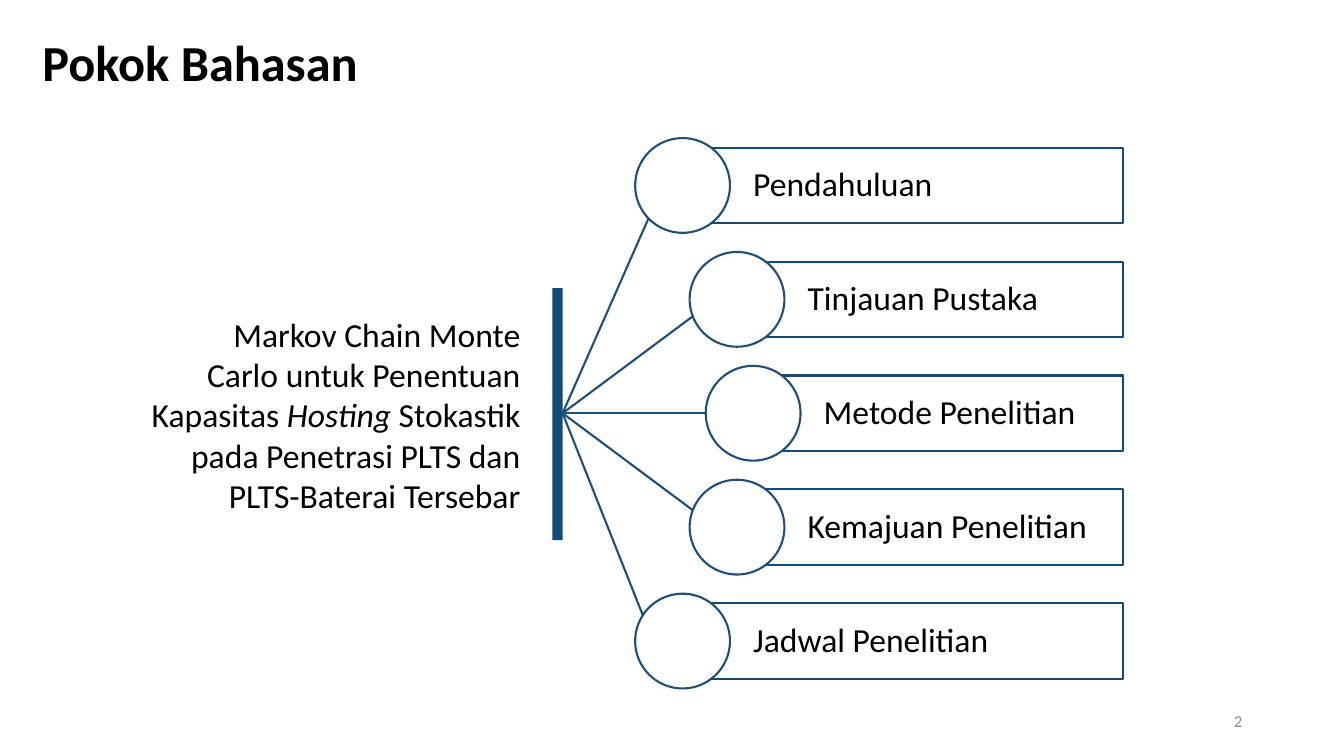
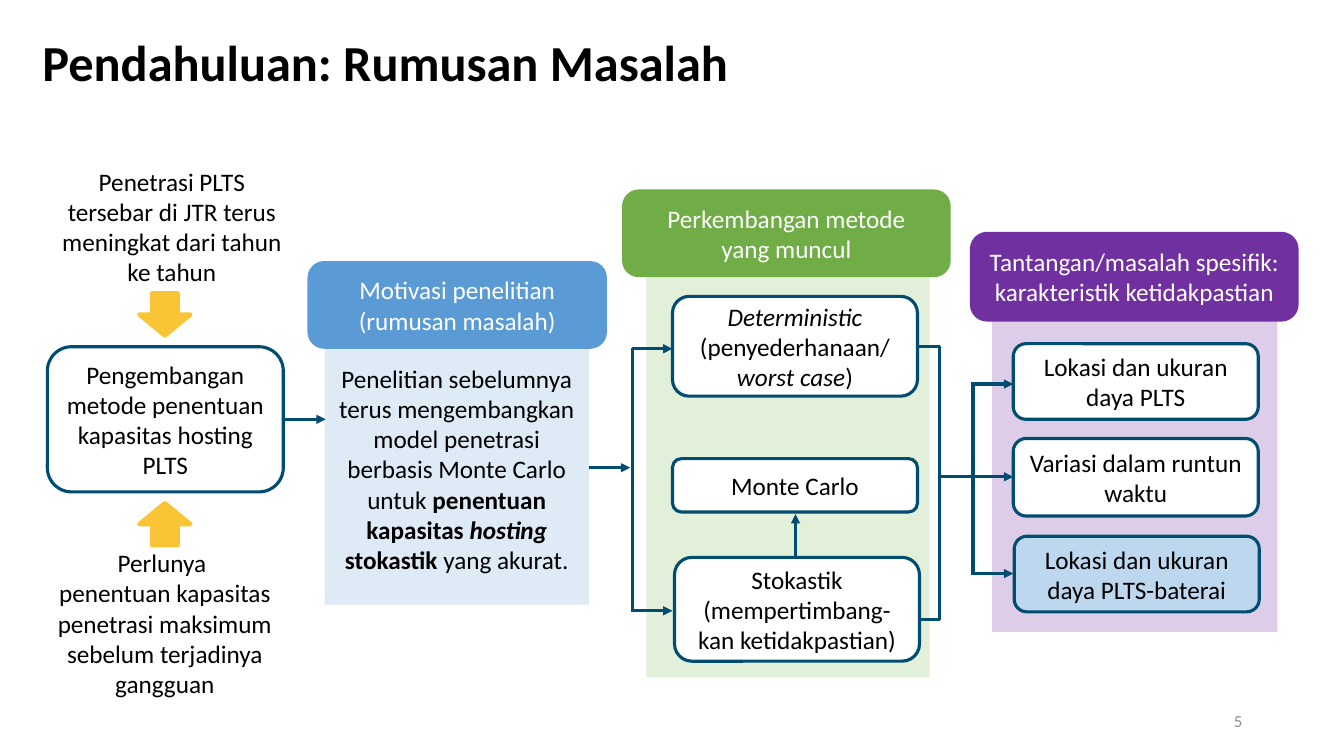
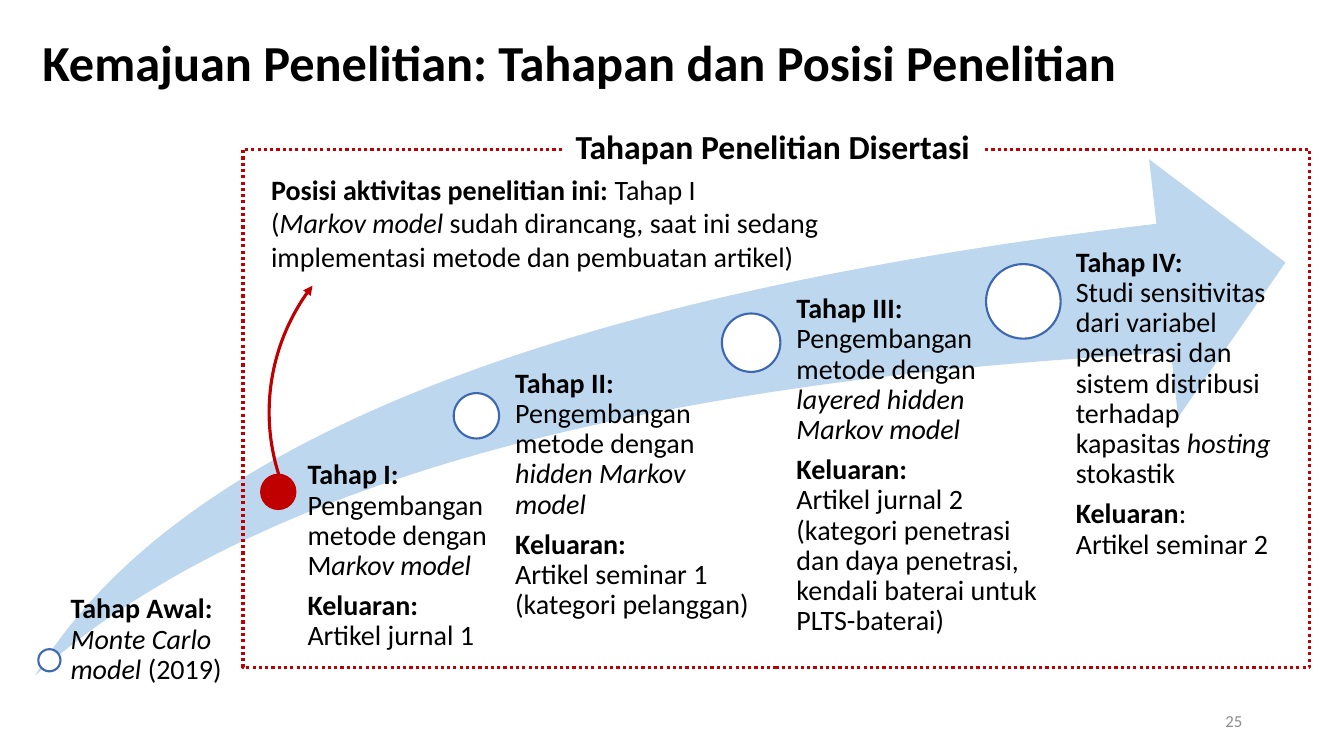
from math import cos, radians, sin

from lxml import etree
from pptx import Presentation
from pptx.dml.color import RGBColor
from pptx.enum.dml import MSO_LINE
from pptx.enum.shapes import MSO_CONNECTOR, MSO_SHAPE
from pptx.enum.text import MSO_ANCHOR, PP_ALIGN
from pptx.oxml.ns import qn
from pptx.util import Inches, Pt

# Shared look
FONT = "Calibri"
WIDTH, HEIGHT = 13.33, 7.5
TITLE_AREA = (0.32, 0.21, 12.67, 0.87)
NUMBER_AREA = (9.42, 6.95, 3, 0.4)

BLACK = RGBColor(0x00, 0x00, 0x00)
WHITE = RGBColor(0xFF, 0xFF, 0xFF)
GREY = RGBColor(0x8C, 0x8C, 0x8C)
NAVY = RGBColor(0x13, 0x4B, 0x74)
SPOKE_BLUE = RGBColor(0x1F, 0x4E, 0x79)
FLOW_BLUE = RGBColor(0x01, 0x4D, 0x71)
RING_BLUE = RGBColor(0x3E, 0x67, 0xB2)
HEADER_BLUE = RGBColor(0x5B, 0x9B, 0xD5)
LIGHT_BLUE = RGBColor(0xBD, 0xD7, 0xEE)
PALE_BLUE = RGBColor(0xDE, 0xEB, 0xF7)
GREEN = RGBColor(0x70, 0xAD, 0x47)
PALE_GREEN = RGBColor(0xE2, 0xF0, 0xD9)
PURPLE = RGBColor(0x70, 0x30, 0xA0)
PALE_PURPLE = RGBColor(0xDD, 0xCD, 0xE8)
YELLOW = RGBColor(0xF9, 0xC4, 0x35)
RED = RGBColor(0xC0, 0x00, 0x00)

RECT, ROUND, CIRCLE = MSO_SHAPE.RECTANGLE, MSO_SHAPE.ROUNDED_RECTANGLE, MSO_SHAPE.OVAL
DOWN, UP = MSO_SHAPE.DOWN_ARROW, MSO_SHAPE.UP_ARROW
SWOOSH, ARC = MSO_SHAPE.SWOOSH_ARROW, MSO_SHAPE.ARC
STRAIGHT = MSO_CONNECTOR.STRAIGHT
DOTTED = MSO_LINE.ROUND_DOT
LEFT, CENTER, RIGHT = PP_ALIGN.LEFT, PP_ALIGN.CENTER, PP_ALIGN.RIGHT
TOP, MIDDLE = MSO_ANCHOR.TOP, MSO_ANCHOR.MIDDLE


def inches(values):
    return [Inches(value) for value in values]


def write(box, text, size=18, color=BLACK, bold=False, align=CENTER, anchor=MIDDLE,
          insets=(0.1, 0.05, 0.1, 0.05), spacing=1.0, after=0):
    """Fill a shape: *bold*, _italic_, newline for a break, blank line for a paragraph."""
    frame = box.text_frame
    frame.word_wrap = True
    frame.vertical_anchor = anchor
    (frame.margin_left, frame.margin_top,
     frame.margin_right, frame.margin_bottom) = inches(insets)
    for number, block in enumerate(text.split("\n\n")):
        para = frame.add_paragraph() if number else frame.paragraphs[0]
        para.alignment, para.line_spacing = align, spacing
        para.space_before, para.space_after = Pt(0), Pt(after)
        for strong, chunk in enumerate(block.split("*")):
            for slanted, piece in enumerate(chunk.split("_")):
                for row, words in enumerate(piece.split("\n")):
                    if row:
                        para.add_line_break()
                    if words:
                        span = para.add_run()
                        span.text = words
                        span.font.name, span.font.size = FONT, Pt(size)
                        span.font.color.rgb = color
                        span.font.bold = bold or strong % 2 == 1
                        span.font.italic = slanted % 2 == 1


def add_text(page, area, text, **style):
    write(page.shapes.add_textbox(*inches(area)), text, **style)


def add_box(page, kind, area, text="", fill=None, line=None, weight=1.5,
            dash=None, adjust=(), **style):
    box = page.shapes.add_shape(kind, *inches(area))
    box.shadow.inherit = False
    for index, value in enumerate(adjust):
        box.adjustments[index] = value
    if fill is None:
        box.fill.background()
    else:
        box.fill.solid()
        box.fill.fore_color.rgb = fill
    if line is None:
        box.line.fill.background()
    else:
        box.line.color.rgb, box.line.width = line, Pt(weight)
        if dash:
            box.line.dash_style = dash
    if text:
        write(box, text, **style)
    return box


def add_arrowhead(item):
    outline = item.element.spPr.find(qn("a:ln"))
    etree.SubElement(outline, qn("a:tailEnd"), type="triangle")


def add_line(page, start, end, color=FLOW_BLUE, weight=2.25, arrow=False):
    line = page.shapes.add_connector(STRAIGHT, *inches((*start, *end)))
    line.line.color.rgb, line.line.width = color, Pt(weight)
    etree.SubElement(line.element.spPr, qn("a:effectLst"))
    if arrow:
        add_arrowhead(line)


def add_page(deck, title, number):
    page = deck.slides.add_slide(deck.slide_layouts[5])
    heading = page.shapes.title
    heading.left, heading.top, heading.width, heading.height = inches(TITLE_AREA)
    write(heading, title, size=36, bold=True, align=LEFT, spacing=0.9)
    add_text(page, NUMBER_AREA, str(number), size=12, color=GREY, align=RIGHT)
    return page


def topics_page(deck):
    page = add_page(deck, "Pokok Bahasan", 2)
    hub_x, hub_y = 5.58, 4.1
    right, bar_height, diameter, step = 11.14, 0.75, 0.94, 1.13
    # Topic, circle centre, angle at which its spoke meets the circle
    topics = [
        ("Pendahuluan", 6.77, 136),
        ("Tinjauan Pustaka", 7.31, 159),
        ("Metode Penelitian", 7.47, 180),
        ("Kemajuan Penelitian", 7.31, 201),
        ("Jadwal Penelitian", 6.77, 213),
    ]
    for index, (topic, x, angle) in enumerate(topics):
        y = hub_y + (index - 2) * step
        radius = diameter / 2
        add_box(page, RECT, (x, y - bar_height / 2, right - x, bar_height), topic,
                line=NAVY, size=24, align=LEFT, insets=(0.7, 0.07, 0, 0.07), spacing=0.9)
        add_box(page, CIRCLE, (x - radius, y - radius, diameter, diameter),
                fill=WHITE, line=SPOKE_BLUE)
        touch = (x + radius * cos(radians(angle)), y + radius * sin(radians(angle)))
        add_line(page, (hub_x, hub_y), touch, SPOKE_BLUE, 1.5)
    # Thesis title and its bar
    add_text(page, (1.06, 2.86, 4.2, 2.5),
             "Markov Chain Monte\nCarlo untuk Penentuan\nKapasitas _Hosting _Stokastik\n"
             "pada Penetrasi PLTS dan\nPLTS-Baterai Tersebar", size=24, align=RIGHT)
    add_box(page, RECT, (hub_x - 0.1, 2.86, 0.1, 2.5), fill=NAVY)


def problem_page(deck):
    page = add_page(deck, "Pendahuluan: Rumusan Masalah", 5)

    # Background panels
    add_box(page, RECT, (3.22, 3.3, 2.62, 2.7),
            "Penelitian sebelumnya terus mengembangkan model penetrasi berbasis Monte Carlo "
            "untuk *penentuan kapasitas _hosting _stokastik* yang akurat.", fill=PALE_BLUE)
    add_box(page, RECT, (6.41, 2.73, 2.81, 3.99), fill=PALE_GREEN)
    add_box(page, RECT, (9.84, 2.67, 2.83, 3.6), fill=PALE_PURPLE)

    # Drivers in the first column
    add_text(page, (0.49, 1.67, 2.43, 1.15),
             "Penetrasi PLTS tersebar di JTR terus meningkat dari tahun ke tahun")
    add_text(page, (0.41, 5.37, 2.45, 1.62),
             "Perlunya \n\npenentuan kapasitas penetrasi maksimum sebelum terjadinya gangguan")
    for kind, y in ((DOWN, 2.91), (UP, 4.99)):
        add_box(page, kind, (1.38, y, 0.51, 0.42), fill=YELLOW, line=YELLOW, weight=3)

    # Connecting lines: start, end, arrow
    fork, merge, split = 6.27, 9.32, 9.65
    lines = [
        ((2.81, 4.16), (3.23, 4.16), True),
        ((5.84, 4.64), (6.25, 4.64), True),
        ((fork, 3.45), (fork, 6.07), False),
        ((fork, 3.46), (6.67, 3.46), True),
        ((fork, 6.06), (6.67, 6.06), True),
        ((7.89, 5.53), (7.89, 5.1), True),
        ((9.1, 3.44), (merge, 3.44), False),
        ((9.1, 6.15), (merge, 6.15), False),
        ((merge, 3.43), (merge, 6.15), False),
        ((merge, 4.73), (split, 4.73), False),
        ((split, 3.79), (split, 5.7), False),
    ]
    lines += [((split, y), (10.05, y), True) for y in (3.81, 4.73, 5.69)]
    for start, end, arrow in lines:
        add_line(page, start, end, arrow=arrow)

    # Outlined boxes
    boxes = [
        ((0.47, 3.44, 2.34, 1.44), "Pengembangan metode penentuan kapasitas hosting PLTS", WHITE),
        ((6.67, 2.94, 2.43, 0.99), "_Deterministic\n_(penyederhanaan/\n_worst case_)", WHITE),
        ((6.67, 4.55, 2.43, 0.53), "Monte Carlo", WHITE),
        ((6.69, 5.53, 2.43, 1.03), "Stokastik\n(mempertimbang-\nkan ketidakpastian)", WHITE),
        ((10.05, 3.41, 2.43, 0.75), "Lokasi dan ukuran daya PLTS", WHITE),
        ((10.05, 4.35, 2.43, 0.77), "Variasi dalam runtun waktu", WHITE),
        ((10.06, 5.32, 2.43, 0.75), "Lokasi dan ukuran daya PLTS-baterai", LIGHT_BLUE),
    ]
    for area, text, fill in boxes:
        add_box(page, ROUND, area, text, fill=fill, line=FLOW_BLUE, weight=2.25)

    # Column headers
    headers = [
        ((3.05, 2.59, 2.97, 0.87), "Motivasi penelitian (rumusan masalah)", HEADER_BLUE),
        ((6.17, 1.88, 3.26, 0.87), "Perkembangan metode\n\nyang muncul", GREEN),
        ((9.62, 2.3, 3.26, 0.89),
         "Tantangan/masalah spesifik: karakteristik ketidakpastian", PURPLE),
    ]
    for area, text, fill in headers:
        add_box(page, ROUND, area, text, fill=fill, adjust=(0.19,), color=WHITE)


def stages_page(deck):
    page = add_page(deck, "Kemajuan Penelitian: Tahapan dan Posisi Penelitian", 25)
    add_box(page, SWOOSH, (0.35, 1.58, 12.4, 5.12), fill=LIGHT_BLUE, adjust=(0.25, 0.25))

    # Circle (left, top, diameter), text area, left inset, text
    stages = [
        ((0.38, 6.44, 0.22), (0.59, 5.9, 1.89, 1.06), 0.11,
         "*Tahap Awal:\n*_Monte Carlo model _(2019)"),
        ((2.59, 4.71, 0.34), (2.87, 4.57, 1.99, 2.15), 0.18,
         "*Tahap I:\n*Pengembangan metode dengan M_arkov model_\n\n"
         "*Keluaran:\n*Artikel jurnal 1"),
        ((4.5, 3.9, 0.45), (4.87, 3.66, 2.96, 3.29), 0.24,
         "*Tahap II:\n*Pengembangan\nmetode dengan\n_hidden Markov\nmodel_\n\n"
         "*Keluaran:\n*Artikel seminar 1 (kategori pelanggan)"),
        ((7.16, 3.11, 0.58), (7.59, 2.92, 2.74, 3.92), 0.31,
         "*Tahap III:\n*Pengembangan metode dengan _layered hidden Markov model_\n\n"
         "*Keluaran:\n*Artikel jurnal 2\n(kategori penetrasi dan daya penetrasi, "
         "kendali baterai untuk PLTS-baterai)"),
        ((9.78, 2.62, 0.74), (10.28, 2.46, 2.47, 3.49), 0.39,
         "*Tahap IV:\n*Studi sensitivitas dari variabel penetrasi dan sistem distribusi "
         "terhadap kapasitas _hosting _stokastik\n\n*Keluaran*:\nArtikel seminar 2"),
    ]
    current = 1
    for index, ((x, y, size), area, inset, text) in enumerate(stages):
        fill, line = (RED, RED) if index == current else (WHITE, RING_BLUE)
        add_box(page, CIRCLE, (x, y, size, size), fill=fill, line=line)
        add_text(page, area, text, size=20, align=LEFT, anchor=TOP,
                 insets=(inset, 0, 0, 0), spacing=0.9, after=7)

    # Dissertation frame, its label and the note on the current stage
    add_box(page, RECT, (2.41, 1.48, 10.58, 5.14), line=RED, weight=2.25, dash=DOTTED)
    degree = 0.6  # adjustment units in one degree
    pointer = add_box(page, ARC, (2.67, 2.04, 4.1, 4.1), line=RED, weight=2.25,
                      adjust=(162 * degree, 217.8 * degree))
    add_arrowhead(pointer)
    add_text(page, (2.59, 1.66, 5.78, 1.11),
             "*Posisi aktivitas penelitian ini: *Tahap I\n(_Markov model _sudah dirancang, "
             "saat ini sedang implementasi metode dan pembuatan artikel)",
             size=20, align=LEFT, anchor=TOP)
    add_box(page, RECT, (5.58, 1.2, 4.17, 0.5), "Tahapan Penelitian Disertasi",
            fill=WHITE, size=24, bold=True, anchor=TOP)


def main():
    deck = Presentation()
    deck.slide_width, deck.slide_height = inches((WIDTH, HEIGHT))
    topics_page(deck)
    problem_page(deck)
    stages_page(deck)
    deck.save("out.pptx")


if __name__ == "__main__":
    main()
